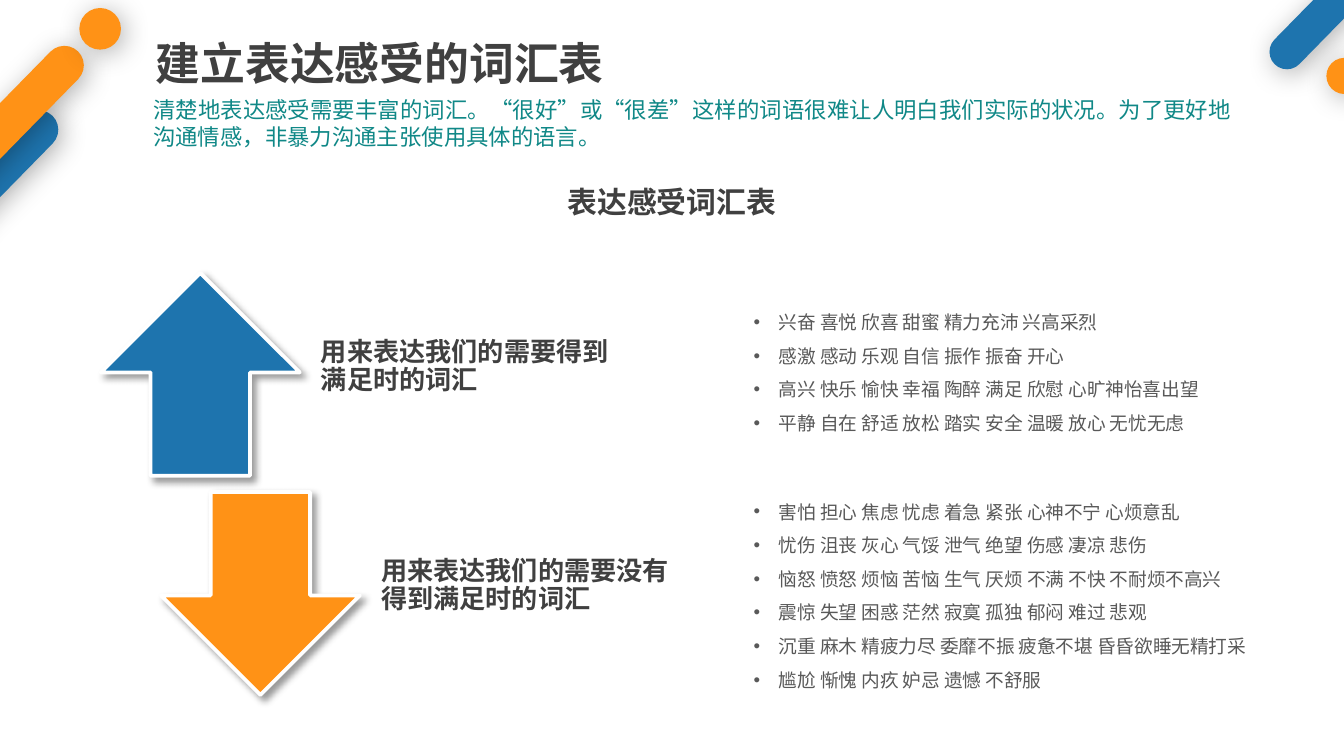
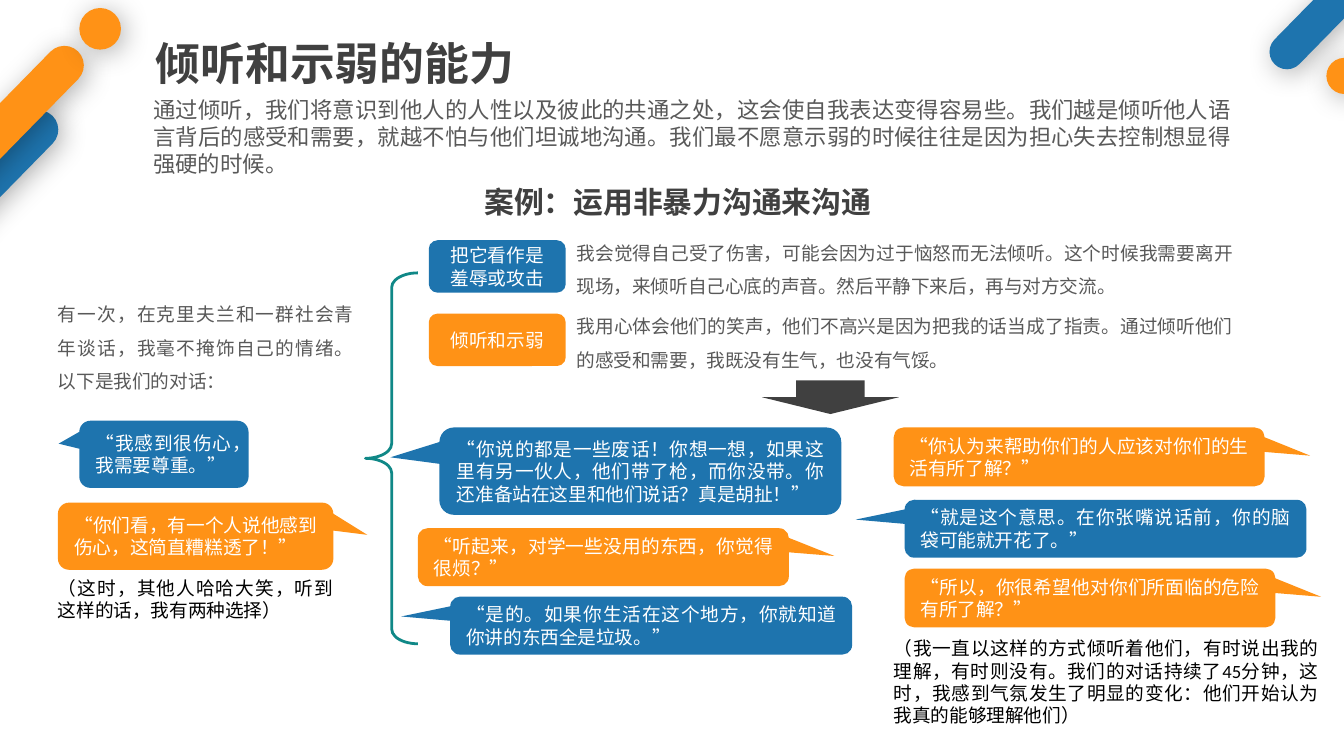
from typing import NamedTuple, Optional

from lxml import etree
from pptx import Presentation
from pptx import util as u
from pptx.dml.color import RGBColor
from pptx.enum import shapes, text
from pptx.oxml.ns import qn

Pt = u.Pt
SHAPE = shapes.MSO_SHAPE
ALIGN = text.PP_ALIGN
ANCHOR = text.MSO_ANCHOR

BLUE, ORANGE, TEAL = "1E74AE", "FF9216", "108887"
DARK, GREY, BLACK, WHITE = "404040", "595959", "000000", "FFFFFF"
HAN_FONT = "Noto Sans CJK SC"
NO_INSET = (0, 0, 0, 0)
INSET = (7.2, 3.6, 7.2, 3.6)


class Box(NamedTuple):
    x: float
    y: float
    w: float
    h: float

    def shifted(self, dx: float, dy: float) -> "Box":
        return self._replace(x=self.x + dx, y=self.y + dy)


class Shadow(NamedTuple):
    alpha: int
    blur: float
    dist: float


class Decoration(NamedTuple):
    kind: SHAPE
    box: Box
    color: str


class Need(NamedTuple):
    arrow: SHAPE
    color: str
    label: str
    words: list[str]
    words_box: Box


class Reaction(NamedTuple):
    name: str
    color: str
    detail: str


class Bubble(NamedTuple):
    box: Box
    words: str
    from_me: bool


CORNER_SHADOW = Shadow(30, 15, 3)
ARROW_SHADOW = Shadow(40, 4, 3)

DECORATIONS = [
    Decoration(SHAPE.ROUNDED_RECTANGLE, Box(-25.2, 44.6, 20.9, 122.4), BLUE),
    Decoration(SHAPE.ROUNDED_RECTANGLE, Box(721.4, -82.8, 18.7, 136.8), BLUE),
    Decoration(SHAPE.OVAL, Box(710.6, 31, 19.4, 19.4), ORANGE),
    Decoration(SHAPE.ROUNDED_RECTANGLE, Box(-11.5, 10.1, 20.9, 122.4), ORANGE),
    Decoration(SHAPE.OVAL, Box(42.5, 4.3, 22.3, 22.3), ORANGE),
]


def rgb(color: str) -> RGBColor:
    return RGBColor.from_string(color)


def write(tf, words, *, size=10, color=GREY, font="Calibri", bold=False,
          align=ALIGN.JUSTIFY, spacing=None, bullet=False, inset=NO_INSET,
          anchor=ANCHOR.TOP):
    """Fill a text frame with one paragraph, or one for each list item."""
    tf.word_wrap = True
    tf.vertical_anchor = anchor
    tf.margin_left, tf.margin_top, tf.margin_right, tf.margin_bottom = map(Pt, inset)
    for i, line in enumerate([words] if isinstance(words, str) else words):
        p = tf.add_paragraph() if i else tf.paragraphs[0]
        p.alignment = align
        if spacing:
            p.line_spacing = spacing
        if bullet:
            pPr = p._p.get_or_add_pPr()
            pPr.set("marL", str(Pt(13.5)))
            pPr.set("indent", str(Pt(-13.5)))
            etree.SubElement(pPr, qn("a:buFont"), typeface="Arial")
            etree.SubElement(pPr, qn("a:buChar"), char="•")
        r = p.add_run()
        r.text = line
        r.font.name, r.font.size, r.font.bold = font, Pt(size), bold
        r.font.color.rgb = rgb(color)
        rPr = r._r.get_or_add_rPr()
        rPr.set("lang", "zh-CN")
        etree.SubElement(rPr, qn("a:ea"), typeface=HAN_FONT)


def add_text(s, box: Box, words, **fmt):
    write(s.shapes.add_textbox(*map(Pt, box)).text_frame, words, **fmt)


def add_shape(s, kind: SHAPE, box: Box, fill: Optional[str] = None,
              line: Optional[str] = None, width: float = 1,
              shadow: Optional[Shadow] = None, adjust=()):
    sp = s.shapes.add_shape(kind, *map(Pt, box))
    for i, value in enumerate(adjust):
        sp.adjustments[i] = value
    if fill:
        sp.fill.solid()
        sp.fill.fore_color.rgb = rgb(fill)
    else:
        sp.fill.background()
    if line:
        sp.line.color.rgb = rgb(line)
        sp.line.width = Pt(width)
    else:
        sp.line.fill.background()
    sp.shadow.inherit = False
    if shadow:
        effects = sp._element.spPr.find(qn("a:effectLst"))
        outer = etree.SubElement(
            effects, qn("a:outerShdw"), blurRad=str(Pt(shadow.blur)),
            dist=str(Pt(shadow.dist)), dir=str(45 * 60000), algn="tl",
            rotWithShape="0")
        tint = etree.SubElement(outer, qn("a:srgbClr"), val=BLACK)
        etree.SubElement(tint, qn("a:alpha"), val=str(shadow.alpha * 1000))
    return sp


def add_bubble(s, bubble: Bubble):
    """Orange bubbles point right to me, blue ones point left to the others."""
    tail = (0.623, -0.02) if bubble.from_me else (-0.622, -0.158)
    sp = add_shape(s, SHAPE.ROUNDED_RECTANGULAR_CALLOUT, bubble.box,
                   ORANGE if bubble.from_me else BLUE, adjust=(*tail, 0.167))
    write(sp.text_frame, bubble.words, font="Arial", color=WHITE,
          inset=INSET, anchor=ANCHOR.MIDDLE)


def new_slide(prs, title: str, intro: str, intro_color: str,
              heading: str, heading_box: Box):
    """Blank slide with corner decorations, title, intro and heading."""
    s = prs.slides.add_slide(prs.slide_layouts[6])
    for deco in DECORATIONS:
        is_bar = deco.kind == SHAPE.ROUNDED_RECTANGLE
        sp = add_shape(s, deco.kind, deco.box, deco.color, shadow=CORNER_SHADOW,
                       adjust=(0.5,) if is_bar else ())
        sp.rotation = 44.4 if is_bar else 0
    add_text(s, Box(76.3, 15.8, 425.5, 36), title, size=24, color=DARK,
             font=HAN_FONT, bold=True, align=ALIGN.LEFT, inset=INSET)
    add_text(s, Box(82.1, 51.8, 578.2, 44), intro, size=12, color=intro_color)
    add_text(s, heading_box, heading, size=16, color=DARK, bold=True,
             align=ALIGN.CENTER)
    return s


def vocabulary_slide(prs):
    s = new_slide(
        prs, "建立表达感受的词汇表",
        "清楚地表达感受需要丰富的词汇。“很好”或“很差”这样的词语很难让人明白我们"
        "实际的状况。为了更好地沟通情感，非暴力沟通主张使用具体的语言。",
        TEAL, "表达感受词汇表", Box(229.7, 98.6, 260.6, 19.4))
    needs = [
        Need(SHAPE.UP_ARROW, BLUE, "用来表达我们的需要得到满足时的词汇", [
            "兴奋 喜悦 欣喜 甜蜜 精力充沛 兴高采烈",
            "感激 感动 乐观 自信 振作 振奋 开心",
            "高兴 快乐 愉快 幸福 陶醉 满足 欣慰 心旷神怡喜出望",
            "平静 自在 舒适 放松 踏实 安全 温暖 放心 无忧无虑",
        ], Box(396.7, 157, 266.4, 77.8)),
        Need(SHAPE.DOWN_ARROW, ORANGE, "用来表达我们的需要没有得到满足时的词汇", [
            "害怕 担心 焦虑 忧虑 着急 紧张 心神不宁 心烦意乱",
            "忧伤 沮丧 灰心 气馁 泄气 绝望 伤感 凄凉 悲伤",
            "恼怒 愤怒 烦恼 苦恼 生气 厌烦 不满 不快 不耐烦不高兴",
            "震惊 失望 困惑 茫然 寂寞 孤独 郁闷 难过 悲观",
            "沉重 麻木 精疲力尽 委靡不振 疲惫不堪 昏昏欲睡无精打采",
            "尴尬 惭愧 内疚 妒忌 遗憾 不舒服",
        ], Box(396.7, 258.5, 292.3, 114.5)),
    ]
    # Arrow, label and word list of each need
    for i, need in enumerate(needs):
        dx, dy = 32.2 * i, 117.4 * i
        add_shape(s, need.arrow, Box(54, 146.2, 106.6, 108.7).shifted(dx, dy),
                  need.color, WHITE, 2, ARROW_SHADOW)
        add_text(s, Box(164, 146.2, 180.7, 108.7).shifted(dx, dy), need.label,
                 size=14, color=DARK, bold=True, align=ALIGN.LEFT, spacing=0.9,
                 inset=(7.9, 0, 7.9, 7.9), anchor=ANCHOR.MIDDLE)
        add_text(s, need.words_box, need.words, spacing=1.5, bullet=True,
                 inset=INSET)


def listening_slide(prs):
    s = new_slide(
        prs, "倾听和示弱的能力",
        "通过倾听，我们将意识到他人的人性以及彼此的共通之处，这会使自我表达变得容易些。"
        "我们越是倾听他人语言背后的感受和需要，就越不怕与他们坦诚地沟通。"
        "我们最不愿意示弱的时候往往是因为担心失去控制想显得强硬的时候。",
        GREY, "案例：运用非暴力沟通来沟通", Box(241.2, 98.6, 244.1, 19.4))

    # Opening of the case
    add_text(s, Box(31, 156.2, 158.4, 52.6),
             "有一次，在克里夫兰和一群社会青年谈话，我毫不掩饰自己的情绪。以下是我们的对话：",
             spacing=1.5)
    add_text(s, Box(31, 308.9, 147.6, 24.5),
             "（这时，其他人哈哈大笑，听到这样的话，我有两种选择）", color=BLACK)
    add_shape(s, SHAPE.LEFT_BRACE, Box(195.8, 146.2, 28.1, 198.7), line=TEAL,
              width=1.5, adjust=(0.279, 0.5))

    # Two possible reactions
    reactions = [
        Reaction("把它看作是羞辱或攻击", BLUE,
                 "我会觉得自己受了伤害，可能会因为过于恼怒而无法倾听。这个时候我需要离开现场，"
                 "来倾听自己心底的声音。然后平静下来后，再与对方交流。"),
        Reaction("倾听和示弱", ORANGE,
                 "我用心体会他们的笑声，他们不高兴是因为把我的话当成了指责。"
                 "通过倾听他们的感受和需要，我既没有生气，也没有气馁。"),
    ]
    for i, reaction in enumerate(reactions):
        dy = 39.3 * i
        sp = add_shape(s, SHAPE.ROUNDED_RECTANGLE,
                       Box(229.7, 128.7, 73.4, 28.1).shifted(0, dy), reaction.color)
        write(sp.text_frame, reaction.name, color=WHITE, align=ALIGN.CENTER,
              inset=INSET, anchor=ANCHOR.MIDDLE)
        add_text(s, Box(308.9, 123.3, 351.4, 34.6).shifted(0, dy),
                 reaction.detail, spacing=1.5)
    add_shape(s, SHAPE.DOWN_ARROW, Box(408.2, 203.8, 73.4, 18), DARK)

    # Dialogue
    bubbles = [
        Bubble(Box(42.5, 225.4, 90.7, 36), "“我感到很伤心，我需要尊重。”", False),
        Bubble(Box(31, 269.3, 147.6, 36),
               "“你们看，有一个人说他感到伤心，这简直糟糕透了！”", True),
        Bubble(Box(235.4, 229, 215.3, 46.8),
               "“你说的都是一些废话！你想一想，如果这里有另一伙人，他们带了枪，而你没带。"
               "你还准备站在这里和他们说话？真是胡扯！”", False),
        Bubble(Box(223.9, 283, 198.7, 31), "“听起来，对学一些没用的东西，你觉得很烦？”", True),
        Bubble(Box(241.2, 319.7, 215.3, 31),
               "“是的。如果你生活在这个地方，你就知道你讲的东西全是垃圾。”", False),
        Bubble(Box(478.8, 229, 198.7, 31.5),
               "“你认为来帮助你们的人应该对你们的生活有所了解？”", True),
        Bubble(Box(484.6, 267.8, 215.3, 31),
               "“就是这个意思。在你张嘴说话前，你的脑袋可能就开花了。”", False),
        Bubble(Box(484.6, 304.6, 198.7, 31.5),
               "“所以，你很希望他对你们所面临的危险有所了解？”", True),
    ]
    for bubble in bubbles:
        add_bubble(s, bubble)
    add_text(s, Box(478.8, 341.3, 227.5, 48.2),
             "（我一直以这样的方式倾听着他们，有时说出我的理解，有时则没有。"
             "我们的对话持续了45分钟，这时，我感到气氛发生了明显的变化："
             "他们开始认为我真的能够理解他们）", color=BLACK)


def main():
    prs = Presentation()
    prs.slide_width, prs.slide_height = Pt(720), Pt(405)
    vocabulary_slide(prs)
    listening_slide(prs)
    prs.save("out.pptx")


if __name__ == "__main__":
    main()
